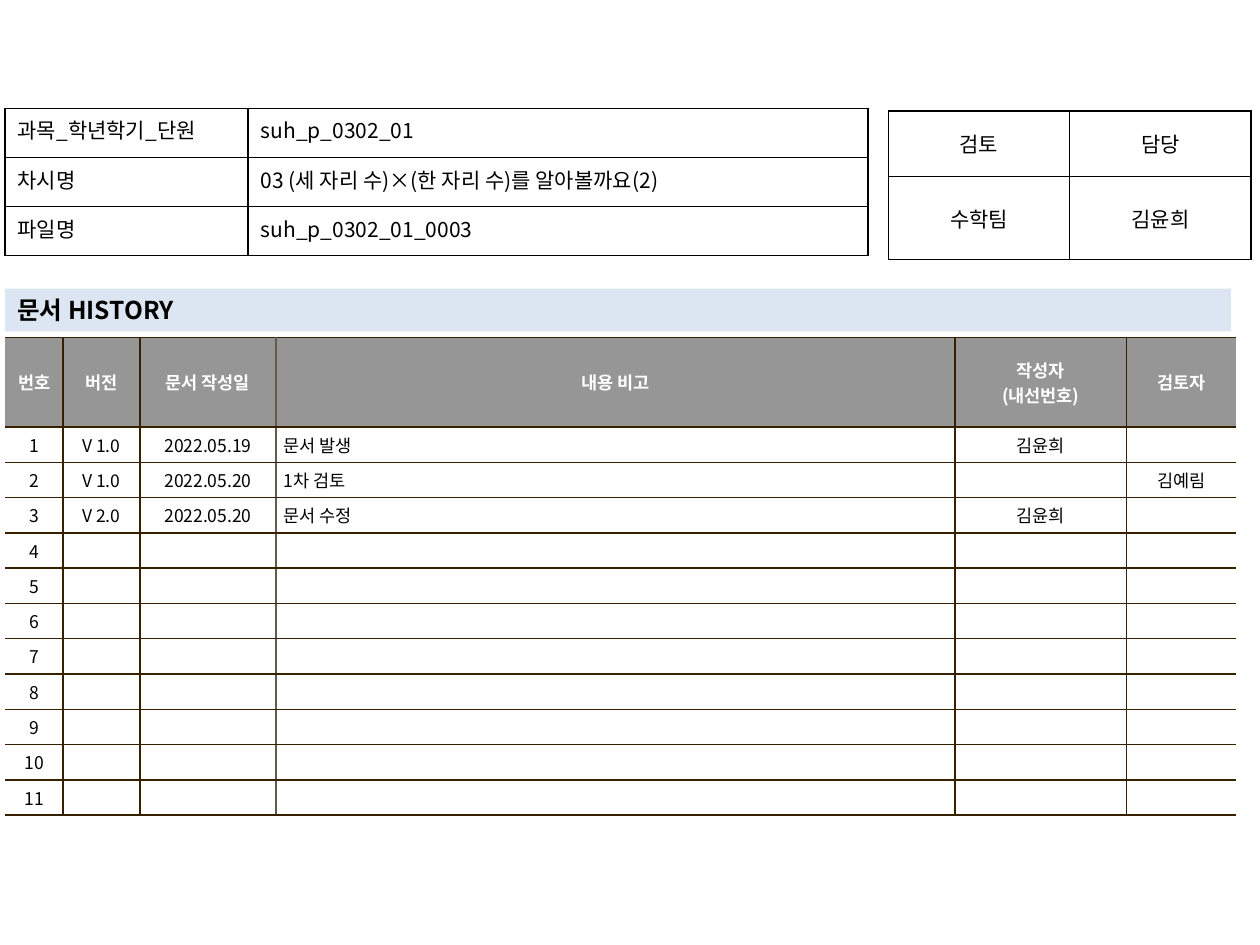
import pptx
import pptx.dml.color
import pptx.enum.shapes
import pptx.enum.text
import pptx.oxml.ns
import pptx.util
from lxml import etree

Inches = pptx.util.Inches
Pt = pptx.util.Pt
ALIGN = pptx.enum.text.PP_ALIGN
ANCHOR = pptx.enum.text.MSO_ANCHOR
qn = pptx.oxml.ns.qn

FONT = "Noto Sans CJK KR"
BLACK, WHITE = "000000", "FFFFFF"
GREY, PALE_BLUE = "969696", "DCE6F2"
BROWN, LIGHT_BROWN = "362000", "645B4C"

DETAILS = [
    ["과목_학년학기_단원", "suh_p_0302_01"],
    ["차시명", "03 (세 자리 수)×(한 자리 수)를 알아볼까요(2)"],
    ["파일명", "suh_p_0302_01_0003"],
]
APPROVAL = [["검토", "담당"], ["수학팀", "김윤희"]]
HISTORY_HEADER = ["번호", "버전", "문서 작성일", "내용 비고", "작성자\n(내선번호)", "검토자"]
HISTORY = [
    ["V 1.0", "2022.05.19", "문서 발생", "김윤희", ""],
    ["V 1.0", "2022.05.20", "1차 검토", "", "김예림"],
    ["V 2.0", "2022.05.20", "문서 수정", "김윤희", ""],
]
HISTORY_ROWS = 11
NOTE_COL = 3


def rgb(color):
    return pptx.dml.color.RGBColor.from_string(color)


def write(tf, text, size=12, color=BLACK, bold=False, align=ALIGN.LEFT):
    """Write one paragraph per line; empty ones keep their size for the row height."""
    for i, line in enumerate(text.split("\n")):
        p = tf.paragraphs[0] if i == 0 else tf.add_paragraph()
        p.alignment = align
        if not line:
            etree.SubElement(p._p, qn("a:endParaRPr"), sz=str(size * 100))
            continue
        r = p.add_run()
        r.text = line
        r.font.size, r.font.bold, r.font.name = Pt(size), bold, FONT
        r.font.color.rgb = rgb(color)
        etree.SubElement(r._r.get_or_add_rPr(), qn("a:ea"), typeface=FONT)


def set_borders(cell, left, right, top, bottom):
    """Draw 1 pt cell edges; None leaves an edge open."""
    tcPr = cell._tc.get_or_add_tcPr()
    for side, color in zip("LRTB", (left, right, top, bottom)):
        ln = etree.SubElement(tcPr, qn("a:ln" + side), w=str(Pt(1)))
        if color:
            fill = etree.SubElement(ln, qn("a:solidFill"))
            etree.SubElement(fill, qn("a:srgbClr"), val=color)
        else:
            etree.SubElement(ln, qn("a:noFill"))


def set_cell(cell, text, borders, fill=None, anchor=ANCHOR.MIDDLE, margins=(0.1, 0.05), **fmt):
    set_borders(cell, *borders)
    if fill:
        cell.fill.solid()
        cell.fill.fore_color.rgb = rgb(fill)
    else:
        cell.fill.background()
    cell.vertical_anchor = anchor
    cell.margin_left = cell.margin_right = Inches(margins[0])
    cell.margin_top = cell.margin_bottom = Inches(margins[1])
    write(cell.text_frame, text, **fmt)


def add_grid(s, left, top, cols, rows):
    frame = s.shapes.add_table(len(rows), len(cols), Inches(left), Inches(top),
                               Inches(sum(cols)), Inches(sum(rows)))
    table = frame.table
    table.first_row = table.horz_banding = False
    for col, width in zip(table.columns, cols):
        col.width = Inches(width)
    for row, height in zip(table.rows, rows):
        row.height = Inches(height)
    return table


def add_boxed_table(s, left, top, cols, rows, data, **fmt):
    table = add_grid(s, left, top, cols, rows)
    for i, row in enumerate(data):
        for j, text in enumerate(row):
            set_cell(table.cell(i, j), text, [BLACK] * 4, **fmt)


def add_history_title(s, left, top, width, height):
    sp = s.shapes.add_shape(pptx.enum.shapes.MSO_SHAPE.RECTANGLE, Inches(left),
                            Inches(top), Inches(width), Inches(height))
    sp.shadow.inherit = False
    sp.fill.solid()
    sp.fill.fore_color.rgb = rgb(PALE_BLUE)
    sp.line.fill.background()
    sp.text_frame.word_wrap = True
    sp.text_frame.vertical_anchor = ANCHOR.MIDDLE
    write(sp.text_frame, "문서 HISTORY", size=14, bold=True)


def add_history_table(s, left, top):
    cols = [0.46, 0.61, 1.08, 5.39, 1.36, 0.87]
    table = add_grid(s, left, top, cols, [0.71] + [0.28] * HISTORY_ROWS)
    inner = [BROWN] * (len(cols) - 1)
    inner[NOTE_COL - 1] = LIGHT_BROWN
    edges = [None, *inner, None]
    entries = HISTORY + [[""] * (len(cols) - 1)] * (HISTORY_ROWS - len(HISTORY))
    rows = [HISTORY_HEADER] + [[str(n), *entry] for n, entry in enumerate(entries, 1)]
    for i, row in enumerate(rows):
        header = i == 0
        for j, text in enumerate(row):
            set_cell(table.cell(i, j), text, (edges[j], edges[j + 1], BROWN, BROWN),
                     fill=GREY if header else WHITE, margins=(0.06, 0.04), size=10,
                     color=WHITE if header else BLACK, bold=header,
                     align=ALIGN.LEFT if j == NOTE_COL and not header else ALIGN.CENTER)


def main():
    prs = pptx.Presentation()
    prs.slide_width, prs.slide_height = Inches(10), Inches(7.5)
    s = prs.slides.add_slide(prs.slide_layouts[6])
    add_history_table(s, 0.04, 2.68)
    add_boxed_table(s, 7.05, 0.88, [1.44, 1.44], [0.52, 0.66], APPROVAL, align=ALIGN.CENTER)
    add_history_title(s, 0.04, 2.29, 9.73, 0.34)
    add_boxed_table(s, 0.04, 0.86, [1.93, 4.92], [0.39] * 3, DETAILS, anchor=ANCHOR.TOP)
    prs.save("out.pptx")


if __name__ == "__main__":
    main()
